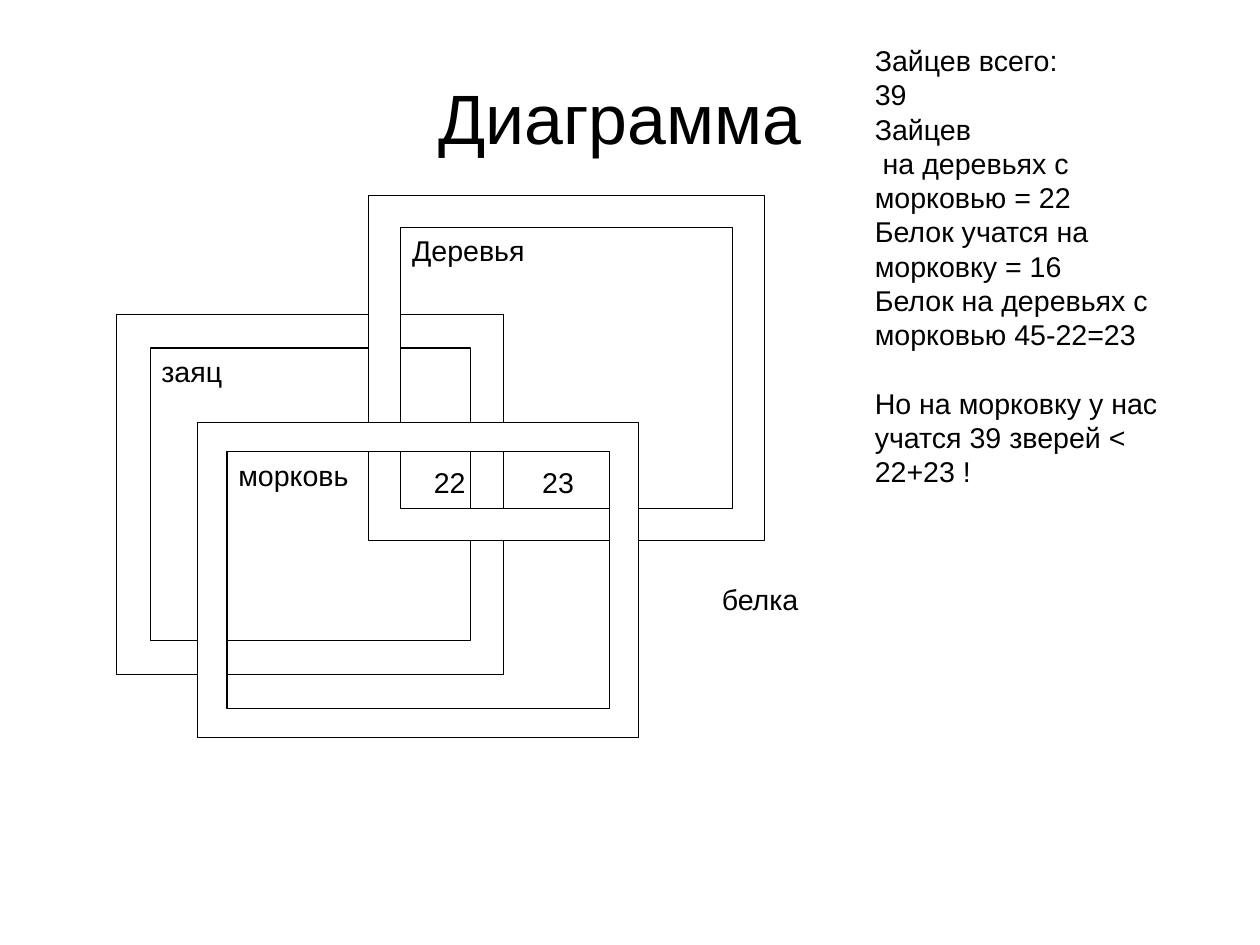
import pptx
import pptx.dml.color
import pptx.enum.shapes
import pptx.enum.text
import pptx.util

Pt = pptx.util.Pt
ALIGN = pptx.enum.text.PP_ALIGN
ANCHOR = pptx.enum.text.MSO_ANCHOR


def rgb(code):
    return pptx.dml.color.RGBColor.from_string(code)


def write(shape, text, size=18, align=ALIGN.LEFT, anchor=ANCHOR.TOP,
          wrap=False, inset=(7.2, 3.6)):
    frame = shape.text_frame
    frame.word_wrap = wrap
    frame.auto_size = pptx.enum.text.MSO_AUTO_SIZE.NONE
    frame.vertical_anchor = anchor
    frame.margin_left = frame.margin_right = Pt(inset[0])
    frame.margin_top = frame.margin_bottom = Pt(inset[1])
    frame.text = text
    for para in frame.paragraphs:
        para.alignment = align
        para.font.size = Pt(size)
        para.font.name = "Arial"
        para.font.color.rgb = rgb("000000")
    return frame.paragraphs


deck = pptx.Presentation()
deck.slide_width, deck.slide_height = Pt(793.7), Pt(595.28)
slide = deck.slides.add_slide(deck.slide_layouts[5])
shapes = slide.shapes

title = shapes.title
title.left, title.top = Pt(39.6), Pt(23.8)
title.width, title.height = Pt(714.2), Pt(99.4)
write(title, "Диаграмма ", size=44, align=ALIGN.CENTER,
      anchor=ANCHOR.MIDDLE, wrap=True, inset=(0, 0))

# Overlapping sets, from back to front
sets = [
    ("заяц", 73.5, 198.2, 243.8, 226.6),
    ("Деревья", 232.3, 123.1, 249.1, 217.2),
    ("морковь", 124.6, 266.2, 277.6, 198.4),
]
for name, *place in sets:
    ring = shapes.add_shape(pptx.enum.shapes.MSO_SHAPE.FRAME, *map(Pt, place))
    ring.adjustments[0] = 0.093
    ring.shadow.inherit = False
    ring.fill.solid()
    ring.fill.fore_color.rgb = rgb("FFFFFF")
    ring.line.color.rgb = rgb("000000")
    ring.line.width = Pt(0)
    write(ring, name)

labels = [
    ("белка", 447.6, 362.9, 62.6),
    ("23", 334.4, 289.4, 34.6),
    ("22", 266.2, 289.4, 34.6),
]
for text, left, top, width in labels:
    write(shapes.add_textbox(Pt(left), Pt(top), Pt(width), Pt(27.4)), text)

facts = [
    "Зайцев всего:",
    "39",
    "Зайцев",
    "на деревьях с морковью = 22",
    "Белок учатся на морковку = 16",
    "Белок на деревьях с морковью 45-22=23",
    "Но на морковку у нас учатся 39 зверей < 22+23 !",
]
notes = shapes.add_textbox(Pt(544), Pt(23.5), Pt(203.8), Pt(526.3))
lines = write(notes, "\n".join(facts), wrap=True)
lines[3]._p.get_or_add_pPr().set("indent", str(Pt(5)))
lines[-1].space_before = Pt(21.6)

deck.save("out.pptx")
